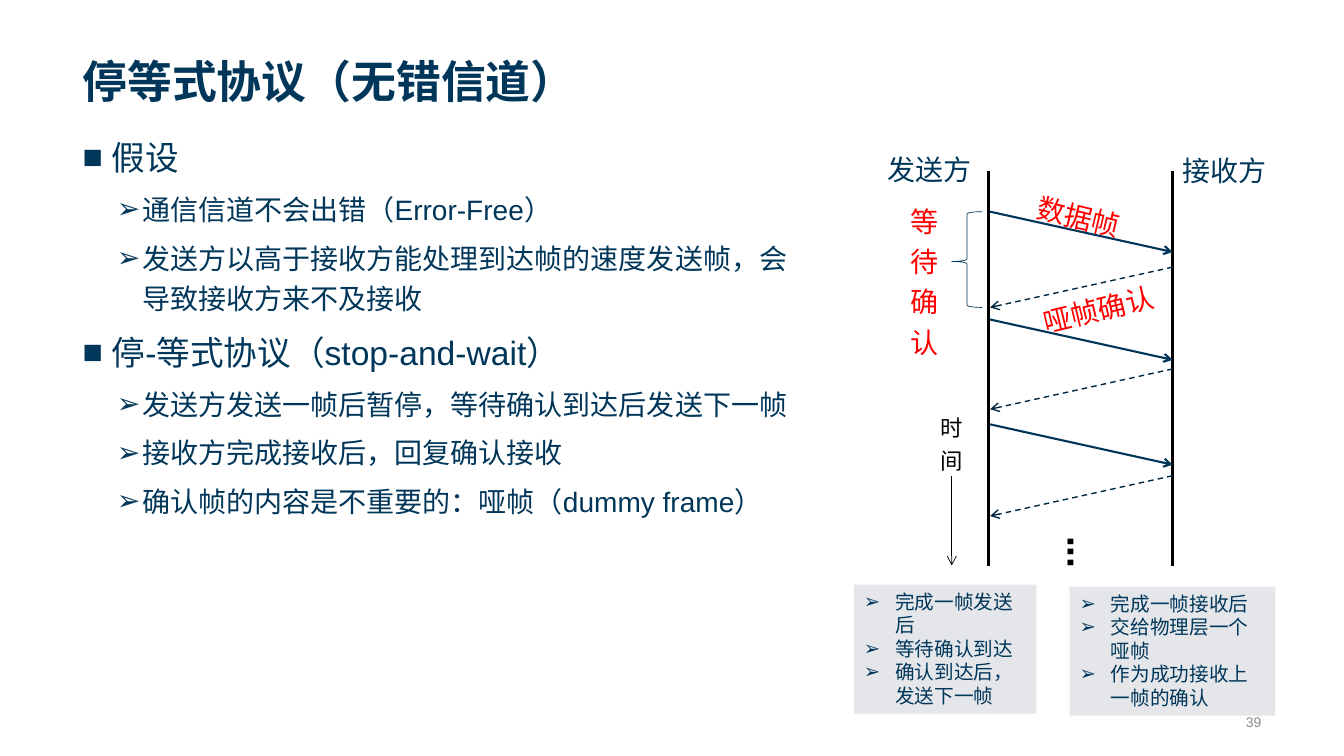
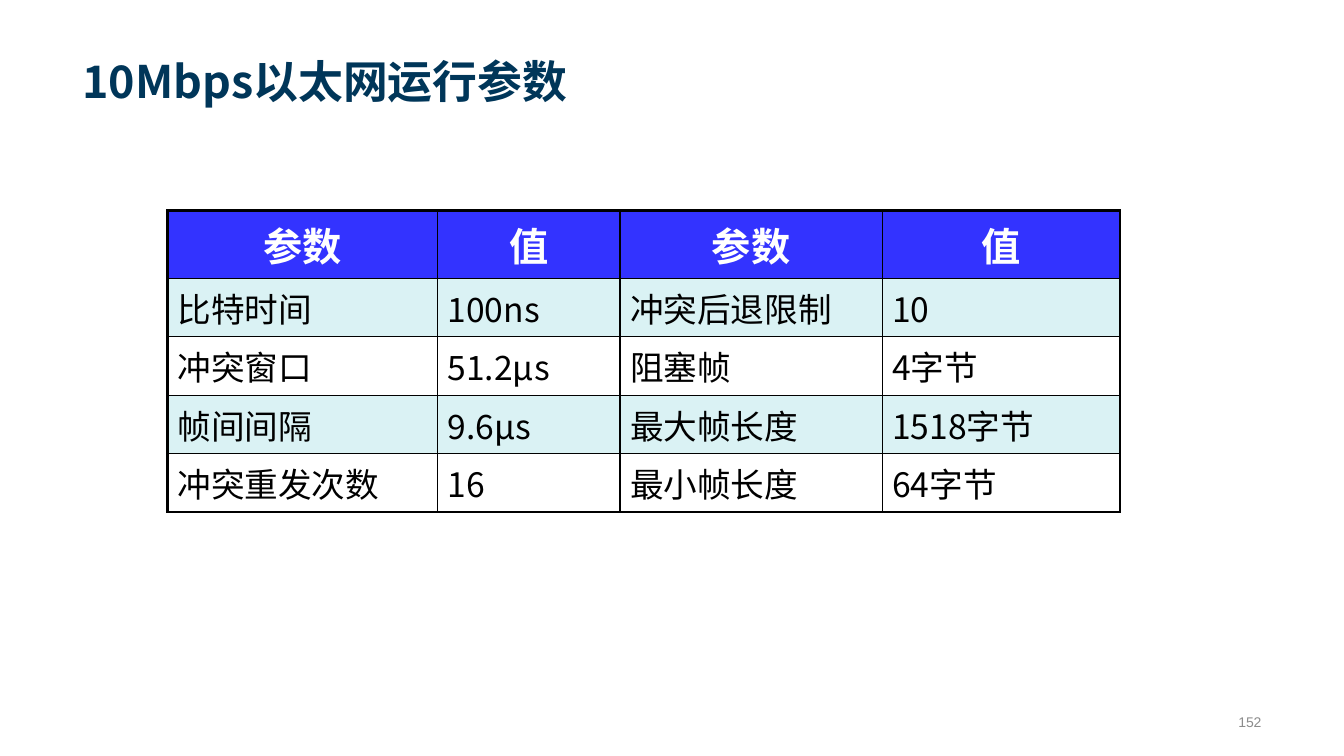
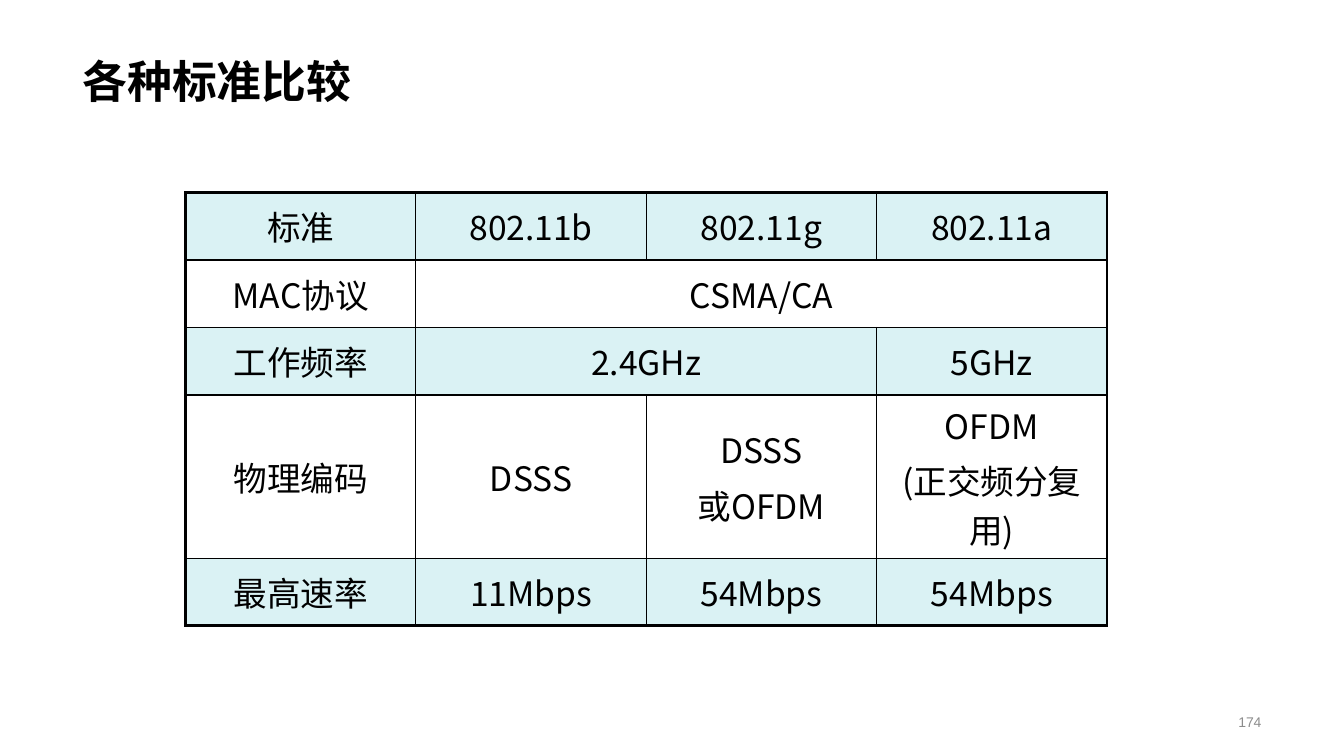
from typing import NamedTuple

from lxml import etree
from pptx import Presentation
from pptx import util as u
from pptx.dml.color import RGBColor
from pptx.enum import dml, shapes, text
from pptx.oxml import ns

NAVY = RGBColor(0x00, 0x36, 0x59)
DARK_NAVY = RGBColor(0x00, 0x28, 0x42)
BLACK = RGBColor(0, 0, 0)
WHITE = RGBColor(0xFF, 0xFF, 0xFF)
RED = RGBColor(0xFF, 0, 0)
GRAY = RGBColor(0x8C, 0x8C, 0x8C)
PANEL = RGBColor(0xE4, 0xE6, 0xEA)
BLUE = RGBColor(0x33, 0x33, 0xFF)
PALE = RGBColor(0xDA, 0xF2, 0xF4)

ARIAL = "Arial"
CJK = "Noto Sans CJK SC"
CENTER = text.PP_ALIGN.CENTER
MIDDLE = text.MSO_ANCHOR.MIDDLE

SENDER, RECEIVER = 98, 116.3
AXIS_TOP, AXIS_BOTTOM = 17, 56.2
FRAME_DELAY = 4


class Area(NamedTuple):
    left: float
    top: float
    width: float
    height: float


class Line(NamedTuple):
    words: str
    size: float
    bullet: str = ""
    margin: float = 0
    hanging: float = 0


class Label(NamedTuple):
    words: str
    area: Area
    size: float = 20
    color: RGBColor = RED
    rotation: float = 0
    font: str = ARIAL
    margin: float = 0


class Exchange(NamedTuple):
    data_top: float
    ack_top: float


class Panel(NamedTuple):
    area: Area
    items: tuple[str, ...]


class Entry(NamedTuple):
    words: str
    span: int = 1


TITLE_AREA = Area(7.2, 1.4, 118.8, 9.8)
NUMBER_AREA = Area(117.3, 70.1, 8.8, 3)
BODY_AREA = Area(7.2, 12.3, 74.2, 54.8)
BRACE_AREA = Area(94.4, 21, 3, 9.5)
DOTS_AREA = Area(103.5, 52.2, 7.7, 5.6)

EXCHANGES = (Exchange(21, 26.5), Exchange(31.7, 36.6), Exchange(42.1, 47.2))

LABELS = (
    Label("发送方", Area(84.5, 14, 13.9, 4.3), color=NAVY, font=CJK, margin=2.5),
    Label("接收方", Area(116.3, 14.1, 11, 4.3), color=NAVY),
    Label("时间", Area(92.3, 40.1, 3.6, 8.3), size=16, color=BLACK),
    Label("数据帧", Area(102, 18.7, 10.4, 4.3), rotation=13.3),
    Label("哑帧确认", Area(102.2, 27.7, 14.7, 4.3), rotation=346.4),
    Label("等待确认", Area(89.3, 19.1, 4.8, 13)),
)

PANELS = (
    Panel(Area(84.7, 58, 18.1, 12.8),
          ("完成一帧发送后", "等待确认到达", "确认到达后，发送下一帧")),
    Panel(Area(106.1, 58.2, 20.4, 12.8),
          ("完成一帧接收后", "交给物理层一个哑帧", "作为成功接收上一帧的确认")),
)

OUTLINE = (
    ("假设", (
        "通信信道不会出错（Error-Free）",
        "发送方以高于接收方能处理到达帧的速度发送帧，会导致接收方来不及接收",
    )),
    ("停-等式协议（stop-and-wait）", (
        "发送方发送一帧后暂停，等待确认到达后发送下一帧",
        "接收方完成接收后，回复确认接收",
        "确认帧的内容是不重要的：哑帧（dummy frame）",
    )),
)

ETHERNET_ROWS = (
    ("参数", "值", "参数", "值"),
    ("比特时间", "100ns", "冲突后退限制", "10"),
    ("冲突窗口", "51.2μs", "阻塞帧", "4字节"),
    ("帧间间隔", "9.6μs", "最大帧长度", "1518字节"),
    ("冲突重发次数", "16", "最小帧长度", "64字节"),
)

WIRELESS_ROWS = (
    ("标准", "802.11b", "802.11g", "802.11a"),
    ("MAC协议", Entry("CSMA/CA", 3)),
    ("工作频率", Entry("2.4GHz", 2), "5GHz"),
    ("物理编码", "DSSS", "DSSS\n或OFDM", "OFDM\n(正交频分复用)"),
    ("最高速率", "11Mbps", "54Mbps", "54Mbps"),
)


def grid(units: float) -> int:
    return u.Inches(units / 10)


def place(area: Area) -> tuple[int, ...]:
    return tuple(grid(units) for units in area)


def add_element(parent, tag: str, **attributes: str):
    return etree.SubElement(parent, ns.qn(tag), **attributes)


def write(frame, lines: list[Line], *, color: RGBColor = NAVY, font: str = ARIAL,
          bold: bool = False, align=None, anchor=text.MSO_ANCHOR.TOP,
          spacing: float | None = None, gap: float = 0) -> None:
    frame.word_wrap = True
    frame.vertical_anchor = anchor
    for index, line in enumerate(lines):
        para = frame.paragraphs[0] if index == 0 else frame.add_paragraph()
        properties = para._p.get_or_add_pPr()
        if line.margin:
            properties.set("marL", str(grid(line.margin)))
            properties.set("indent", str(-grid(line.hanging)))
        if line.bullet:
            add_element(properties, "a:buFont", typeface=ARIAL)
            add_element(properties, "a:buChar", char=line.bullet)
        para.alignment = align
        para.line_spacing = spacing
        if index:
            para.space_before = u.Pt(gap)
        span = para.add_run()
        span.text = line.words
        span.font.size = u.Pt(line.size)
        span.font.bold = bold
        span.font.color.rgb = color
        span.font.name = font
        add_element(span._r.get_or_add_rPr(), "a:ea", typeface=CJK)


def add_text(page, area: Area, lines: list[Line], **style):
    box = page.shapes.add_textbox(*place(area))
    write(box.text_frame, lines, **style)
    return box


def add_line(page, start: tuple[float, float], end: tuple[float, float], *,
             color: RGBColor = BLACK, width: float = 1, dashed: bool = False,
             arrow: bool = False) -> None:
    line = page.shapes.add_connector(
        shapes.MSO_CONNECTOR.STRAIGHT, *(grid(units) for units in start + end))
    line.line.color.rgb = color
    line.line.width = u.Pt(width)
    if dashed:
        line.line.dash_style = dml.MSO_LINE.DASH
    if arrow:
        add_element(line.line._get_or_add_ln(), "a:tailEnd", type="arrow")
    add_element(line._element.spPr, "a:effectLst")


def add_page(deck, title: str, number: int, color: RGBColor = NAVY):
    page = deck.slides.add_slide(deck.slide_layouts[6])
    add_text(page, TITLE_AREA, [Line(title, 32)], color=color, font=CJK,
             bold=True, anchor=text.MSO_ANCHOR.BOTTOM)
    add_text(page, NUMBER_AREA, [Line(str(number), 10)], color=GRAY,
             align=text.PP_ALIGN.RIGHT, anchor=MIDDLE)
    return page


def set_borders(cell, heavy_edges: dict[str, bool]) -> None:
    properties = cell._tc.get_or_add_tcPr()
    for edge, heavy in heavy_edges.items():
        border = add_element(properties, f"a:ln{edge}", w=str(u.Pt(2.25 if heavy else 1)))
        fill = add_element(border, "a:solidFill")
        add_element(fill, "a:srgbClr", val=str(BLACK))


def add_grid_table(page, left: float, top: float, columns: list[float],
                   heights: list[float], rows, *, pale_rows: set[int],
                   header: bool = False, align=None) -> None:
    area = Area(left, top, sum(columns), sum(heights))
    table = page.shapes.add_table(len(rows), len(columns), *place(area)).table
    table.first_row = table.horz_banding = False
    for column, width in zip(table.columns, columns):
        column.width = grid(width)
    for row, height in zip(table.rows, heights):
        row.height = grid(height)
    for row_index, row in enumerate(rows):
        heading = header and row_index == 0
        first = 0
        for item in row:
            entry = item if isinstance(item, Entry) else Entry(item)
            last = first + entry.span - 1
            cell = table.cell(row_index, first)
            if entry.span > 1:
                cell.merge(table.cell(row_index, last))
            set_borders(cell, {
                "L": first == 0,
                "R": last == len(columns) - 1,
                "T": row_index == 0,
                "B": row_index == len(rows) - 1,
            })
            if heading or row_index in pale_rows:
                cell.fill.solid()
                cell.fill.fore_color.rgb = BLUE if heading else PALE
            else:
                cell.fill.background()
            cell.vertical_anchor = MIDDLE
            lines = [Line(words, 28 if heading else 24) for words in entry.words.split("\n")]
            write(cell.text_frame, lines, color=WHITE if heading else BLACK, font=CJK,
                  bold=heading, align=CENTER if heading else align,
                  anchor=MIDDLE, gap=4.8)
            first = last + 1


def draw_timeline(page) -> None:
    for axis in (SENDER, RECEIVER):
        add_line(page, (axis, AXIS_TOP), (axis, AXIS_BOTTOM), width=2)
    near, far = SENDER + 0.2, RECEIVER
    for exchange in EXCHANGES:
        add_line(page, (near, exchange.data_top), (far, exchange.data_top + FRAME_DELAY),
                 color=NAVY, width=1.5, arrow=True)
        add_line(page, (far, exchange.ack_top), (near, exchange.ack_top + FRAME_DELAY),
                 color=DARK_NAVY, dashed=True, arrow=True)
    add_line(page, (94.4, 47.2), (94.4, 56.1), width=0.5, arrow=True)
    for label in LABELS:
        box = add_text(page, label.area, [Line(label.words, label.size, margin=label.margin)],
                       color=label.color, font=label.font, spacing=1.2)
        box.rotation = label.rotation
    dots = add_text(page, DOTS_AREA, [Line("...", 28)], color=BLACK, bold=True, spacing=1.2)
    dots.text_frame._txBody.bodyPr.set("vert", "eaVert")
    dots.text_frame.auto_size = text.MSO_AUTO_SIZE.SHAPE_TO_FIT_TEXT
    brace = page.shapes.add_shape(shapes.MSO_SHAPE.LEFT_BRACE, *place(BRACE_AREA))
    brace.shadow.inherit = False
    brace.fill.background()
    brace.line.color.rgb = NAVY
    brace.line.width = u.Pt(0.5)
    brace.adjustments[0] = 0.08
    brace.adjustments[1] = 0.52


def draw_panel(page, panel: Panel) -> None:
    box = page.shapes.add_shape(shapes.MSO_SHAPE.RECTANGLE, *place(panel.area))
    box.shadow.inherit = False
    box.fill.solid()
    box.fill.fore_color.rgb = PANEL
    box.line.fill.background()
    write(box.text_frame, [Line(item, 14, "➢", 3.1, 3.1) for item in panel.items],
          align=text.PP_ALIGN.LEFT)


def build_protocol(deck) -> None:
    page = add_page(deck, "停等式协议（无错信道）", 39)
    lines = []
    for heading, points in OUTLINE:
        lines.append(Line(heading, 24, "■", 2.9, 2.9))
        lines.extend(Line(point, 20, "➢", 5.9, 2.5) for point in points)
    add_text(page, BODY_AREA, lines, spacing=1.2, gap=6)
    draw_timeline(page)
    for panel in PANELS:
        draw_panel(page, panel)


def build_ethernet(deck) -> None:
    page = add_page(deck, "10Mbps以太网运行参数", 152)
    add_grid_table(page, 16.6, 20.9, [26.8, 18.1, 26, 23.6], [6.7] + [5.8] * 4,
                   ETHERNET_ROWS, pale_rows={1, 3}, header=True)


def build_wireless(deck) -> None:
    page = add_page(deck, "各种标准比较", 174, BLACK)
    add_grid_table(page, 18.4, 19.1, [22.85] * 4, [6.7] * 3 + [16.2, 6.7],
                   WIRELESS_ROWS, pale_rows={0, 2, 4}, align=CENTER)


def main() -> None:
    deck = Presentation()
    deck.slide_width = u.Inches(13.33)
    deck.slide_height = u.Inches(7.5)
    for build in (build_protocol, build_ethernet, build_wireless):
        build(deck)
    deck.save("out.pptx")


if __name__ == "__main__":
    main()
